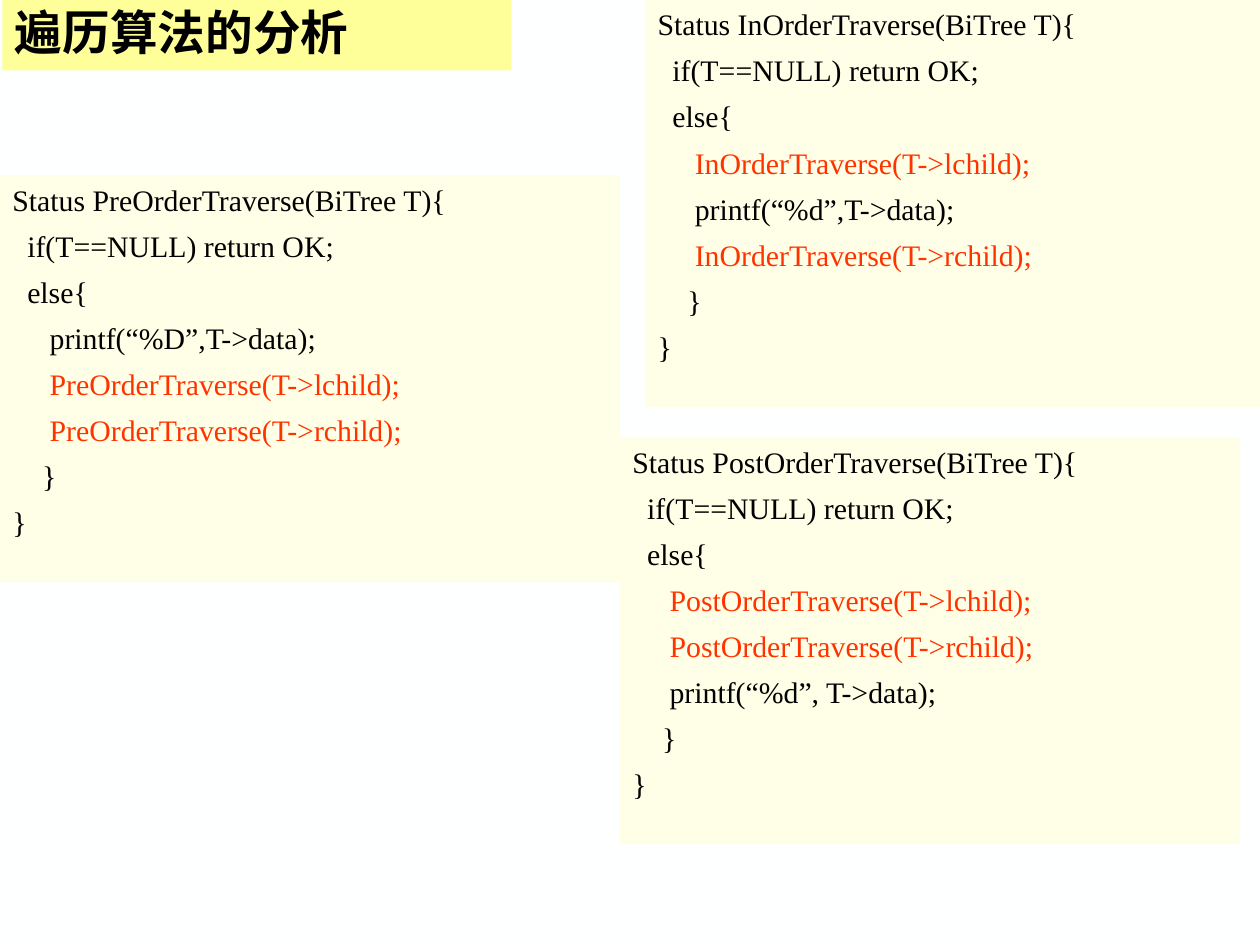
import pptx
import pptx.dml.color
import pptx.enum.shapes
import pptx.enum.text
import pptx.util
import lxml.etree
import pptx.oxml.ns

Inches = pptx.util.Inches
Pt = pptx.util.Pt
BLACK, RED = "000000", "FF3300"


def color(value):
    return pptx.dml.color.RGBColor.from_string(value)


def add_panel(left, top, width, height, fill, anchor):
    shape = slide.shapes.add_shape(
        pptx.enum.shapes.MSO_SHAPE.RECTANGLE,
        Inches(left), Inches(top), Inches(width), Inches(height))
    shape.shadow.inherit = False
    shape.fill.solid()
    shape.fill.fore_color.rgb = color(fill)
    shape.line.fill.background()
    shape.text_frame.word_wrap = True
    shape.text_frame.vertical_anchor = anchor
    return shape.text_frame


presentation = pptx.Presentation()
presentation.slide_width = Inches(10)
presentation.slide_height = Inches(7.5)
slide = presentation.slides.add_slide(presentation.slide_layouts[6])
slide.background.fill.solid()
slide.background.fill.fore_color.rgb = color("FEFFFF")

# Code panels: left, top, function name, statements of the else branch
panels = [
    (0, 1.39, "PreOrderTraverse",
     ["printf(“%D”,T->data);", "PreOrderTraverse(T->lchild);", "PreOrderTraverse(T->rchild);"]),
    (4.92, 3.47, "PostOrderTraverse",
     ["PostOrderTraverse(T->lchild);", "PostOrderTraverse(T->rchild);", "printf(“%d”, T->data);"]),
    (5.12, 0, "InOrderTraverse",
     ["InOrderTraverse(T->lchild);", "printf(“%d”,T->data);", "InOrderTraverse(T->rchild);"]),
]
for left, top, name, statements in panels:
    frame = add_panel(left, top, 4.92, 3.23, "FFFFE7", pptx.enum.text.MSO_ANCHOR.TOP)
    lines = [f"Status {name}(BiTree T){{", "  if(T==NULL) return OK;", "  else{"]
    lines += ["     " + statement for statement in statements]
    lines += ["    }", "}"]
    for index, line in enumerate(lines):
        paragraph = frame.add_paragraph() if index else frame.paragraphs[0]
        paragraph.alignment = pptx.enum.text.PP_ALIGN.LEFT
        if index:
            paragraph.space_before = Pt(5.9)
        run = paragraph.add_run()
        run.text = line
        run.font.name = "Times New Roman"
        run.font.size = Pt(17)
        # Recursive calls stand out in red
        run.font.color.rgb = color(RED if line.strip().startswith(name) else BLACK)

# Title
frame = add_panel(0.02, 0, 4.04, 0.56, "FFFF99", pptx.enum.text.MSO_ANCHOR.MIDDLE)
paragraph = frame.paragraphs[0]
paragraph.alignment = pptx.enum.text.PP_ALIGN.LEFT
paragraph.line_spacing = 0.9
run = paragraph.add_run()
run.text = "遍历算法的分析"
run.font.name = "Noto Sans CJK SC"
run.font.size = Pt(27.2)
run.font.bold = True
run.font.color.rgb = color(BLACK)
east_asian = lxml.etree.SubElement(run.font._element, pptx.oxml.ns.qn("a:ea"))
east_asian.set("typeface", "Noto Sans CJK SC")

presentation.save("out.pptx")
